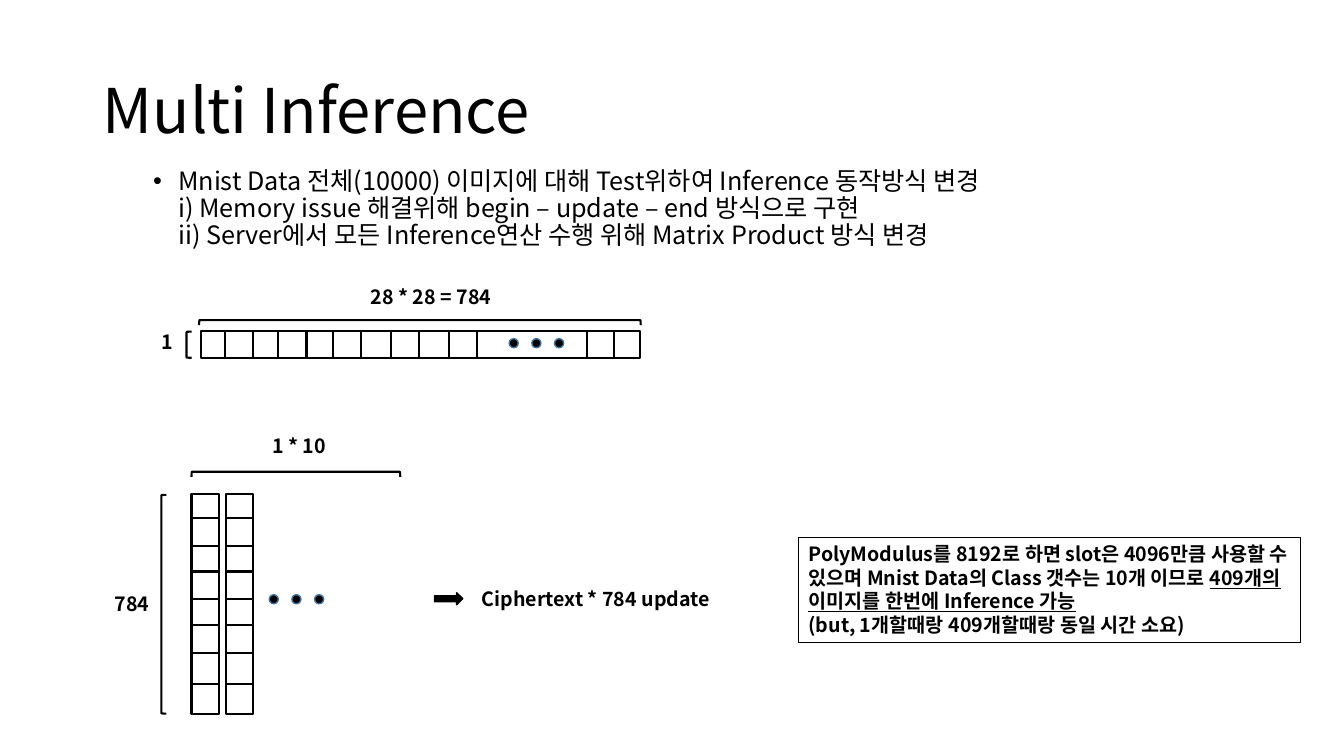
from pptx import Presentation
from pptx.dml.color import RGBColor
from pptx.enum import shapes, text
from pptx.oxml import parse_xml
from pptx.oxml.ns import nsdecls, qn
from pptx.util import Inches, Pt

FONT = "Noto Sans CJK KR"
BLACK = "000000"
DOT_EDGE = "43739E"
KIND = shapes.MSO_SHAPE

TITLE = "Multi Inference"
POINTS = [
    "Mnist Data 전체(10000) 이미지에 대해 Test위하여 Inference 동작방식 변경",
    "i) Memory issue 해결위해 begin – update – end 방식으로 구현",
    "ii) Server에서 모든 Inference연산 수행 위해 Matrix Product 방식 변경",
]
LABELS = [
    ("1", 1.5, 3.22, 0.31),
    ("28 * 28 = 784", 3.58, 2.78, 1.86),
    ("1 * 10", 2.6, 4.26, 0.76),
    ("784", 1.04, 5.82, 0.56),
    ("Ciphertext * 784 update", 4.68, 5.77, 2.6),
]
NOTE = [
    [
        ("PolyModulus를 8192로 하면 slot은 4096만큼 사용할 수 있으며 "
         "Mnist Data의 Class 갯수는 10개 이므로 ", False),
        ("409개의 이미지를 한번에 Inference 가능", True),
        (" ", False),
    ],
    [("(but, 1개할때랑 409개할때랑 동일 시간 소요)", False)],
]
CELL = 0.27
ROW_LEFT, ROW_TOP, ROW_WIDTH = 1.99, 3.28, 4.36
ROW_CUTS = [2.23, 2.51, 2.76, 3.04, 3.3, 3.58, 3.88, 4.16, 4.45, 4.73, 5.82, 6.09]
COLUMN_LEFTS = [1.9, 2.24]
COLUMN_TOP, COLUMN_HEIGHT = 4.9, 2.18
COLUMN_CUTS = [5.14, 5.42, 5.67, 5.94, 6.2, 6.48, 6.79]
DOT_STARTS = [(5.05, 3.36), (2.67, 5.9)]
DOT_SIZE, DOT_STEP = 0.09, 0.225
SIDE_BRACKETS = [(1.85, 3.29, 0.26), (1.6, 4.91, 2.17)]
TOP_BRACKETS = [(4.14, 1.01, 4.38), (2.91, 3.67, 2.07)]


def color(code):
    return RGBColor.from_string(code)


def apply(target, values):
    for name, value in values.items():
        setattr(target, name, value)


def add_span(para, words, size, **values):
    span = para.add_run()
    span.text = words
    apply(span.font, {"name": FONT, "size": Pt(size), **values})
    span.font.color.rgb = color(BLACK)
    east = parse_xml(f'<a:ea {nsdecls("a")} typeface="{FONT}"/>')
    span.font._element.find(qn("a:latin")).addnext(east)


def add_shape(owner, kind, left, top, width, height, fill=None, edge=BLACK, weight=1.5):
    shape = owner.add_shape(kind, *map(Inches, (left, top, width, height)))
    shape.shadow.inherit = False
    if fill:
        shape.fill.solid()
        shape.fill.fore_color.rgb = color(fill)
    else:
        shape.fill.background()
    shape.line.color.rgb = color(edge)
    shape.line.width = Pt(weight)
    return shape


def add_line(owner, x1, y1, x2, y2):
    line = owner.add_connector(
        shapes.MSO_CONNECTOR.STRAIGHT, *map(Inches, (x1, y1, x2, y2)))
    line.line.color.rgb = color(BLACK)
    line.line.width = Pt(1.5)
    line._element.spPr.append(parse_xml(f'<a:effectLst {nsdecls("a")}/>'))


def add_box(page, left, top, width, height):
    box = page.shapes.add_textbox(*map(Inches, (left, top, width, height)))
    box.text_frame.word_wrap = True
    return box


def add_heading(page):
    title = page.shapes.title
    apply(title, {"left": Inches(0.92), "top": Inches(0.4),
                  "width": Inches(11.5), "height": Inches(1.45)})
    apply(title.text_frame, {"vertical_anchor": text.MSO_ANCHOR.MIDDLE,
                             "auto_size": text.MSO_AUTO_SIZE.NONE})
    para = title.text_frame.paragraphs[0]
    apply(para, {"alignment": text.PP_ALIGN.LEFT, "line_spacing": 0.9})
    add_span(para, TITLE, 44)


def add_points(page):
    para = add_box(page, 0.92, 1.62, 11.5, 4.76).text_frame.paragraphs[0]
    apply(para, {"level": 1, "line_spacing": 0.9, "space_before": Pt(5)})
    layout = para._p.get_or_add_pPr()
    layout.set("marL", str(Inches(0.75)))
    layout.set("indent", str(Inches(-0.25)))
    layout.append(parse_xml(f'<a:buFont {nsdecls("a")} typeface="Arial"/>'))
    layout.append(parse_xml(f'<a:buChar {nsdecls("a")} char="•"/>'))
    for index, words in enumerate(POINTS):
        if index:
            para.add_line_break()
        add_span(para, words, 18)


def add_cells(page):
    row = page.shapes.add_group_shape().shapes
    add_shape(row, KIND.RECTANGLE, ROW_LEFT, ROW_TOP, ROW_WIDTH, CELL)
    for x in ROW_CUTS:
        add_line(row, x, ROW_TOP, x, ROW_TOP + CELL)
    for left in COLUMN_LEFTS:
        column = page.shapes.add_group_shape().shapes
        add_shape(column, KIND.RECTANGLE, left, COLUMN_TOP, CELL, COLUMN_HEIGHT)
        for y in COLUMN_CUTS:
            add_line(column, left, y, left + CELL, y)


def add_marks(page):
    for left, top in DOT_STARTS:
        for step in range(3):
            add_shape(page.shapes, KIND.OVAL, left + step * DOT_STEP, top,
                      DOT_SIZE, DOT_SIZE, BLACK, DOT_EDGE, 1)
    for left, top, height in SIDE_BRACKETS:
        add_shape(page.shapes, KIND.LEFT_BRACKET, left, top, 0.05, height)
    for left, top, length in TOP_BRACKETS:
        bracket = add_shape(page.shapes, KIND.RIGHT_BRACKET, left, top, 0.05, length)
        bracket.rotation = 270
    add_shape(page.shapes, KIND.RIGHT_ARROW, 4.31, 5.88, 0.28, 0.12, BLACK, weight=1)


def add_labels(page):
    for words, left, top, width in LABELS:
        box = add_box(page, left, top, width, 0.34)
        add_span(box.text_frame.paragraphs[0], words, 14, bold=True)


def add_note(page):
    box = add_shape(page.shapes, KIND.RECTANGLE, 7.92, 5.33, 4.98, 1.04, weight=0.75)
    frame = box.text_frame
    apply(frame, {"word_wrap": True, "vertical_anchor": text.MSO_ANCHOR.TOP})
    for index, spans in enumerate(NOTE):
        para = frame.add_paragraph() if index else frame.paragraphs[0]
        para.alignment = text.PP_ALIGN.LEFT
        for words, underline in spans:
            add_span(para, words, 14, bold=True, underline=underline)


def main():
    deck = Presentation()
    apply(deck, {"slide_width": Inches(13.33), "slide_height": Inches(7.5)})
    page = deck.slides.add_slide(deck.slide_layouts[5])
    for build in (add_heading, add_points, add_cells, add_marks, add_labels, add_note):
        build(page)
    deck.save("out.pptx")


if __name__ == "__main__":
    main()
